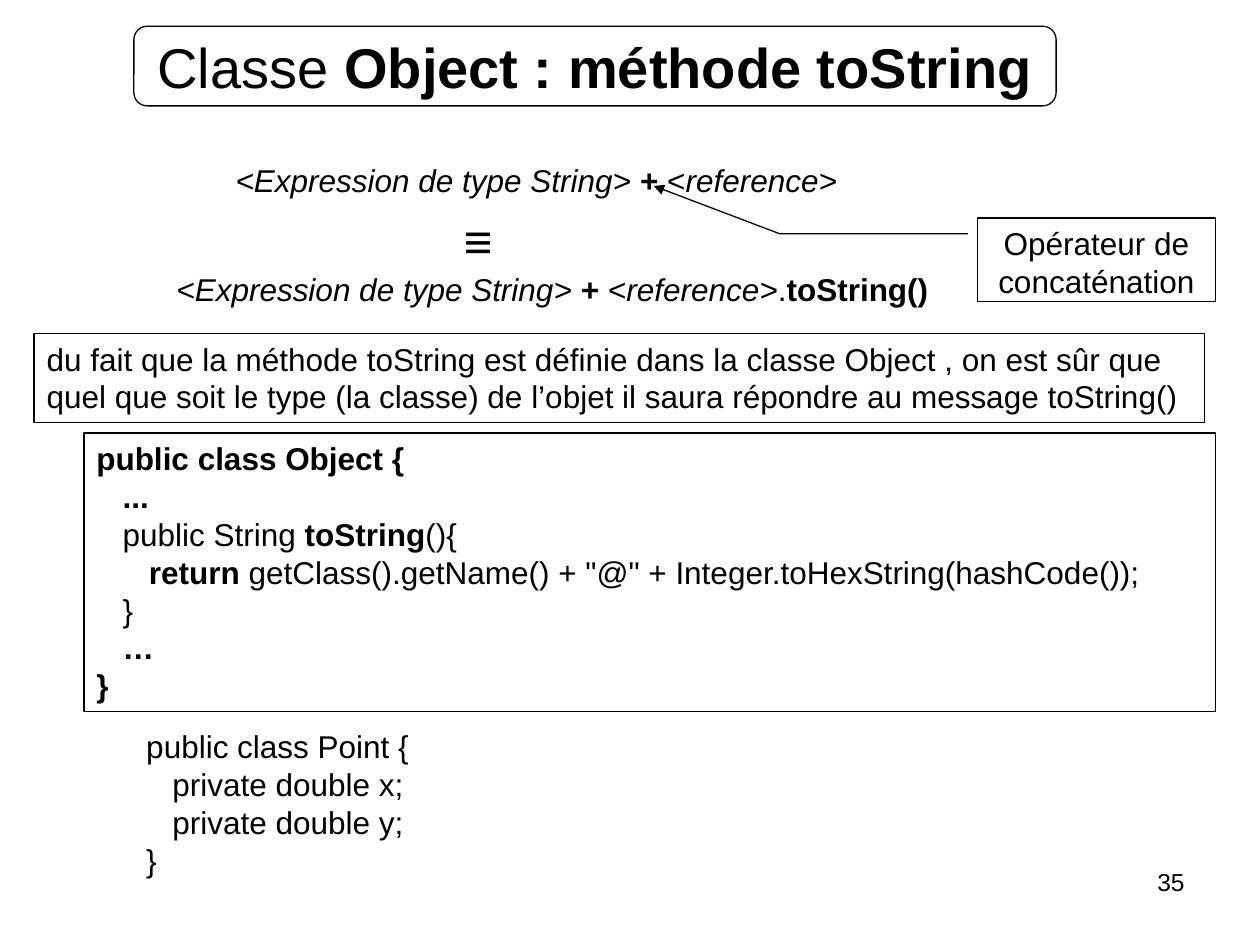
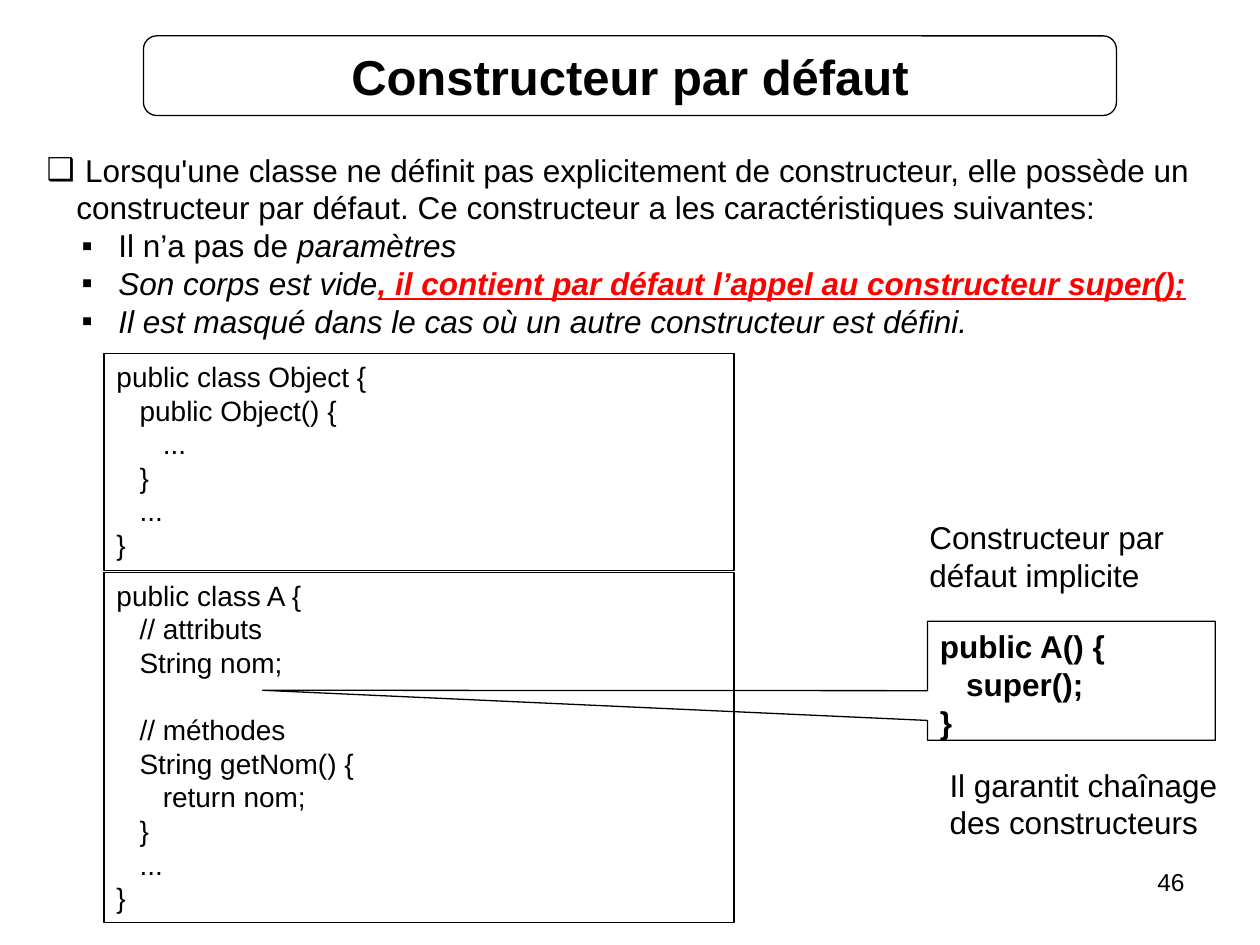
from dataclasses import dataclass
from typing import NamedTuple, Optional

from lxml import etree
from pptx import Presentation
from pptx.dml.color import RGBColor
from pptx.enum import shapes, text
from pptx.oxml import ns
from pptx.util import Pt

BLACK = RGBColor(0, 0, 0)
RED = RGBColor(255, 0, 0)
FONT_NAME = "Arial"
LINE_WIDTH = 0.75
BODY_SIZE = 18
CODE_SIZE = 16
NUMBER_SIZE = 14
TITLE_ONLY_LAYOUT = 5
TITLE_AND_BODY_LAYOUT = 1


class Run(NamedTuple):
    """A stretch of text with one format."""
    text: str
    bold: bool = False
    italic: bool = False
    underline: bool = False
    color: RGBColor = BLACK


class Bullet(NamedTuple):
    """A bullet sign with its level and indents in points."""
    sign: str
    level: int
    margin: float
    hanging: float


class Place(NamedTuple):
    """A position and size in points."""
    left: float
    top: float
    width: float
    height: float


@dataclass
class Box:
    """A block of text, framed when it has a shape type."""
    place: Place
    paragraphs: list
    size: float = BODY_SIZE
    bold: bool = False
    wrap: bool = True
    align: text.PP_ALIGN = text.PP_ALIGN.LEFT
    frame: Optional[shapes.MSO_SHAPE] = None
    adjustments: tuple = ()


NUMBER_PLACE = Place(516, 492, 168, 37.5)
SQUARE = Bullet("❑", 0, 17, 17)
SMALL_SQUARE = Bullet("▪", 1, 41, 21)

CONCATENATION = [
    Run("<Expression de type String> ", italic=True),
    Run("+ ", bold=True),
    Run("<"),
    Run("reference>", italic=True),
]

TO_STRING_BOXES = [
    Box(Place(127.5, 88.5, 358, 29), [CONCATENATION], wrap=False),
    Box(Place(258, 116.5, 39.5, 41), ["≡"], size=28, bold=True),
    Box(Place(93.75, 151, 444, 29),
        [CONCATENATION + [Run("."), Run("toString()", bold=True)]], wrap=False),
    Box(Place(19.5, 190.5, 669, 51), [
        "du fait que la méthode toString est définie dans la classe Object , on est sûr que",
        "quel que soit le type (la classe) de l’objet il saura répondre au message toString()",
    ], frame=shapes.MSO_SHAPE.RECTANGLE),
    Box(Place(48, 247.5, 646.5, 159), [
        [Run("public class Object {", bold=True)],
        [Run("   ...", bold=True)],
        [Run("   public String "), Run("toString", bold=True), Run("(){")],
        [Run("      return ", bold=True),
         Run('getClass().getName() + "@" + Integer.toHexString(hashCode());')],
        "   }",
        [Run("   …", bold=True)],
        [Run("}", bold=True)],
    ], frame=shapes.MSO_SHAPE.RECTANGLE),
    Box(Place(76.5, 412, 204.5, 93.5), [
        "public class Point {",
        "   private double x;",
        "   private double y;",
        "}",
    ]),
]

OPERATOR_CALLOUT = Box(
    Place(558.5, 124.5, 136, 48), ["Opérateur de concaténation"],
    align=text.PP_ALIGN.CENTER, frame=shapes.MSO_SHAPE.LINE_CALLOUT_2,
    adjustments=(0.19, -0.04, 0.19, -0.83, -0.38, -1.36))

CONSTRUCTOR_ITEMS = [
    [Run(" Lorsqu'une classe ne définit pas explicitement de constructeur, elle possède un "
         "constructeur par défaut. Ce constructeur a les caractéristiques suivantes:")],
    [Run("Il n’a pas de "), Run("paramètres", italic=True)],
    [Run("Son corps est vide", italic=True),
     Run(", il contient par défaut l’appel au constructeur super();",
         bold=True, italic=True, underline=True, color=RED)],
    [Run("Il est masqué dans le cas où un autre constructeur est défini.", italic=True)],
]

CLASS_A_BOX = Box(Place(59.5, 327, 360, 200), [
    "public class A {",
    "   // attributs",
    "   String nom;",
    "   // méthodes",
    "   String getNom() {",
    "      return nom;",
    "   }",
    "   ...",
    "}",
], size=CODE_SIZE, frame=shapes.MSO_SHAPE.RECTANGLE)
METHODS_LINE = 3
METHODS_GAP = 19.25

CONSTRUCTOR_BOXES = [
    Box(Place(59.5, 202, 360, 124), [
        "public class Object {",
        "   public Object() {",
        "      ...",
        "   }",
        "   ...",
        "}",
    ], size=CODE_SIZE, frame=shapes.MSO_SHAPE.RECTANGLE),
    Box(Place(530, 355, 164.5, 68), ["public A() {", "   super();", "}"], bold=True,
        frame=shapes.MSO_SHAPE.RECTANGULAR_CALLOUT, adjustments=(-2.81, 0.08)),
    Box(Place(524, 292.5, 153.5, 50.5), ["Constructeur par défaut implicite"]),
    Box(Place(535.5, 434, 170, 50.5), ["Il garantit chaînage", "des constructeurs"]),
]


def write_text(text_frame, paragraphs: list, *, size: float = BODY_SIZE, bold: bool = False,
               wrap: bool = True, align=text.PP_ALIGN.LEFT,
               anchor=text.MSO_ANCHOR.TOP) -> None:
    """Fill a text frame with strings or lists of runs."""
    text_frame.word_wrap = wrap
    text_frame.auto_size = text.MSO_AUTO_SIZE.NONE
    text_frame.vertical_anchor = anchor
    for index, content in enumerate(paragraphs):
        paragraph = text_frame.add_paragraph() if index else text_frame.paragraphs[0]
        paragraph.alignment = align
        paragraph.space_before = Pt(0)
        for part in [Run(content)] if isinstance(content, str) else content:
            run = paragraph.add_run()
            run.text = part.text
            run.font.name = FONT_NAME
            run.font.size = Pt(size)
            run.font.bold = bold or part.bold
            run.font.italic = part.italic
            run.font.underline = part.underline
            run.font.color.rgb = part.color


def move(shape, place: Place) -> None:
    """Put a shape at a place."""
    shape.left, shape.top, shape.width, shape.height = map(Pt, place)


def add_frame(slide, kind, place: Place, adjustments: tuple = ()):
    """Draw an unfilled shape with a thin black outline."""
    shape = slide.shapes.add_shape(kind, *map(Pt, place))
    shape.shadow.inherit = False
    shape.fill.background()
    shape.line.color.rgb = BLACK
    shape.line.width = Pt(LINE_WIDTH)
    for index, value in enumerate(adjustments):
        shape.adjustments[index] = value
    return shape


def add_box(slide, box: Box):
    """Draw a block of text with its frame, if any."""
    if box.frame is None:
        shape = slide.shapes.add_textbox(*map(Pt, box.place))
    else:
        shape = add_frame(slide, box.frame, box.place, box.adjustments)
    write_text(shape.text_frame, box.paragraphs, size=box.size, bold=box.bold,
               wrap=box.wrap, align=box.align)
    return shape


def add_arrowhead(shape) -> None:
    """End the line of a shape with a triangle."""
    line = shape.element.spPr.find(ns.qn("a:ln"))
    etree.SubElement(line, ns.qn("a:tailEnd"), type="triangle")


def set_bullet(paragraph, bullet: Bullet) -> None:
    """Give a paragraph its bullet, level and hanging indent."""
    paragraph.level = bullet.level
    properties = paragraph._p.get_or_add_pPr()
    properties.set("marL", str(Pt(bullet.margin)))
    properties.set("indent", str(-Pt(bullet.hanging)))
    etree.SubElement(properties, ns.qn("a:buFont"), typeface=FONT_NAME)
    etree.SubElement(properties, ns.qn("a:buChar"), char=bullet.sign)


def add_slide(presentation, layout: int, title: list, title_size: float,
              title_place: Place, number: int):
    """Add a slide with a framed title and a slide number."""
    slide = presentation.slides.add_slide(presentation.slide_layouts[layout])
    add_frame(slide, shapes.MSO_SHAPE.ROUNDED_RECTANGLE, title_place)
    move(slide.shapes.title, title_place)
    write_text(slide.shapes.title.text_frame, [title], size=title_size, wrap=False,
               align=text.PP_ALIGN.CENTER, anchor=text.MSO_ANCHOR.MIDDLE)
    add_box(slide, Box(NUMBER_PLACE, [str(number)], size=NUMBER_SIZE,
                       align=text.PP_ALIGN.RIGHT))
    return slide


def build_to_string_slide(presentation) -> None:
    """Build the slide on the toString method."""
    title = [Run("Classe "), Run("Object : méthode toString", bold=True)]
    slide = add_slide(presentation, TITLE_ONLY_LAYOUT, title, 32,
                      Place(76.5, 15, 527, 45.5), 35)
    for box in TO_STRING_BOXES:
        add_box(slide, box)
    add_arrowhead(add_box(slide, OPERATOR_CALLOUT))


def build_constructor_slide(presentation) -> None:
    """Build the slide on the default constructor."""
    slide = add_slide(presentation, TITLE_AND_BODY_LAYOUT,
                      [Run("Constructeur par défaut", bold=True)], 28,
                      Place(82, 20.5, 556, 45.5), 46)
    body = slide.placeholders[1]
    move(body, Place(19.5, 82.5, 677.5, 117))
    write_text(body.text_frame, CONSTRUCTOR_ITEMS)
    for index, paragraph in enumerate(body.text_frame.paragraphs):
        set_bullet(paragraph, SMALL_SQUARE if index else SQUARE)
    class_a = add_box(slide, CLASS_A_BOX)
    class_a.text_frame.paragraphs[METHODS_LINE].space_before = Pt(METHODS_GAP)
    for box in CONSTRUCTOR_BOXES:
        add_box(slide, box)


def main() -> None:
    """Build and save the presentation."""
    presentation = Presentation()
    presentation.slide_width, presentation.slide_height = Pt(720), Pt(540)
    build_to_string_slide(presentation)
    build_constructor_slide(presentation)
    presentation.save("out.pptx")


if __name__ == "__main__":
    main()
